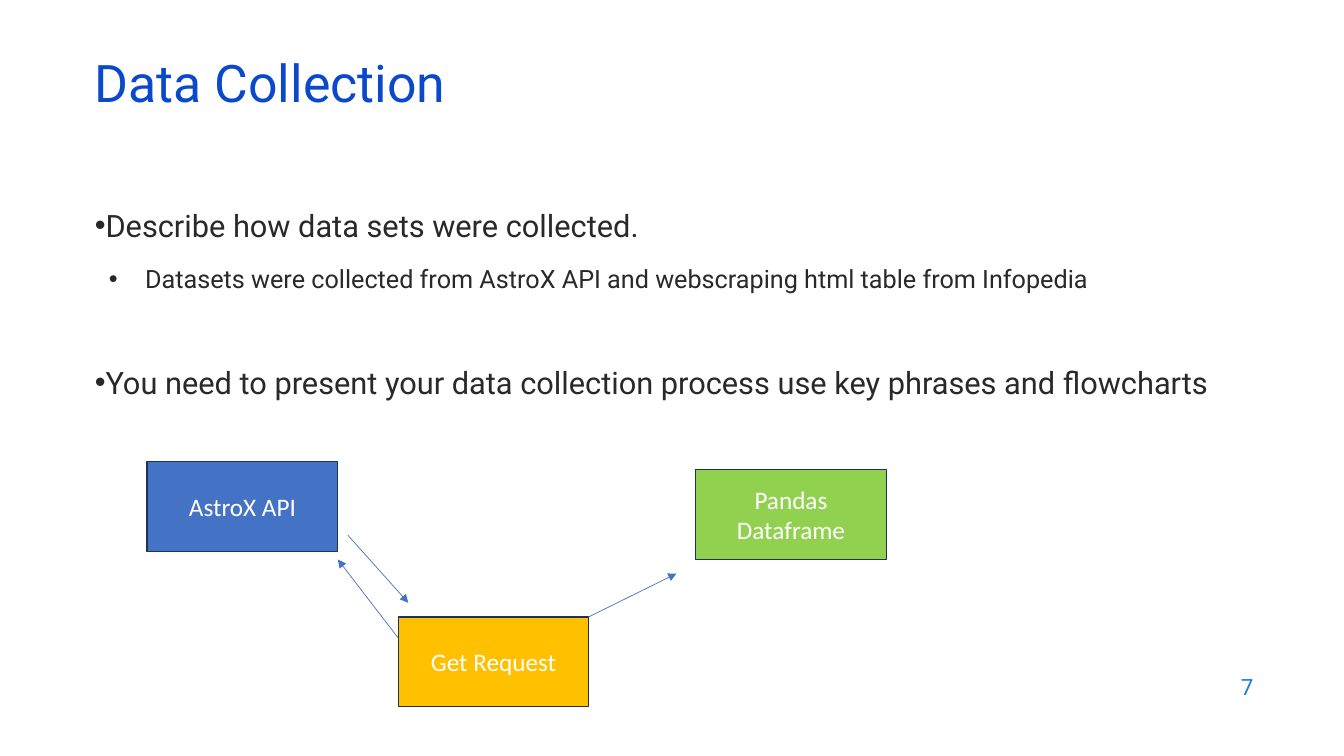
from dataclasses import dataclass

from lxml.etree import SubElement
from pptx import Presentation
from pptx.dml.color import RGBColor
from pptx.enum.shapes import MSO_CONNECTOR, MSO_SHAPE
from pptx.enum.text import MSO_ANCHOR, MSO_AUTO_SIZE, PP_ALIGN
from pptx.oxml.ns import qn
from pptx.util import Inches, Pt


@dataclass(frozen=True)
class Theme:
    head_font: str = "Roboto"
    box_font: str = "Calibri"
    title: str = "0B49CB"
    body: str = "292929"
    number: str = "1C7DDB"
    white: str = "FFFFFF"
    blue: str = "4472C4"
    amber: str = "FFC000"
    green: str = "92D050"
    outline: str = "1E3256"
    title_size: int = 37
    body_size: int = 22
    sub_size: int = 18
    number_size: int = 16


class SlideBuilder:
    def __init__(self, slide, theme):
        self.s = slide
        self.t = theme

    def style(self, p, font, size, color):
        for r in p.runs:
            r.font.name = font
            r.font.size = Pt(size)
            r.font.color.rgb = RGBColor.from_string(color)

    def place(self, sp, left, top, width, height):
        sp.left, sp.top = Inches(left), Inches(top)
        sp.width, sp.height = Inches(width), Inches(height)

    def title(self, text, *at):
        sp = self.s.shapes.title
        self.place(sp, *at)
        tf = sp.text_frame
        tf.text = text
        tf.auto_size = MSO_AUTO_SIZE.NONE
        tf.vertical_anchor = MSO_ANCHOR.MIDDLE
        p = tf.paragraphs[0]
        p.alignment = PP_ALIGN.LEFT
        p.line_spacing = 0.7
        self.style(p, self.t.head_font, self.t.title_size, self.t.title)

    def bullets(self, items, *at):
        """Fill the body placeholder from (level, space before, text) items."""
        sp = self.s.placeholders[1]
        self.place(sp, *at)
        tf = sp.text_frame
        tf.text = "\n".join(text for _, _, text in items)
        tf.auto_size = MSO_AUTO_SIZE.NONE
        tf.vertical_anchor = MSO_ANCHOR.TOP
        for p, (level, space, _) in zip(tf.paragraphs, items):
            p.level = level
            p.line_spacing = 1.0
            p.space_before = Pt(space)
            margin, indent = (0.5, -0.36) if level else (0, 0)
            pPr = p._p.get_or_add_pPr()
            pPr.set("marL", str(Inches(margin)))
            pPr.set("indent", str(Inches(indent)))
            SubElement(pPr, qn("a:buFont"), typeface="Arial")
            SubElement(pPr, qn("a:buChar"), char="•")
            size = self.t.sub_size if level else self.t.body_size
            self.style(p, self.t.head_font, size, self.t.body)

    def page_number(self, text, *at):
        sp = self.s.shapes.add_textbox(*map(Inches, at))
        tf = sp.text_frame
        tf.word_wrap = True
        tf.vertical_anchor = MSO_ANCHOR.MIDDLE
        tf.text = text
        p = tf.paragraphs[0]
        p.alignment = PP_ALIGN.RIGHT
        self.style(p, self.t.head_font, self.t.number_size, self.t.number)

    def box(self, text, fill, *at):
        sp = self.s.shapes.add_shape(MSO_SHAPE.RECTANGLE, *map(Inches, at))
        sp.shadow.inherit = False
        sp.fill.solid()
        sp.fill.fore_color.rgb = RGBColor.from_string(fill)
        sp.line.color.rgb = RGBColor.from_string(self.t.outline)
        sp.line.width = Pt(1)
        tf = sp.text_frame
        tf.word_wrap = True
        tf.vertical_anchor = MSO_ANCHOR.MIDDLE
        tf.text = text
        p = tf.paragraphs[0]
        p.alignment = PP_ALIGN.CENTER
        self.style(p, self.t.box_font, self.t.sub_size, self.t.white)

    def arrow(self, *ends):
        c = self.s.shapes.add_connector(MSO_CONNECTOR.STRAIGHT, *map(Inches, ends))
        c.line.color.rgb = RGBColor.from_string(self.t.blue)
        c.line.width = Pt(0.5)
        SubElement(c.line._get_or_add_ln(), qn("a:tailEnd"), type="triangle")
        SubElement(c._element.spPr, qn("a:effectLst"))


def main():
    prs = Presentation()
    prs.slide_width, prs.slide_height = Inches(13.33), Inches(7.5)
    theme = Theme()
    b = SlideBuilder(prs.slides.add_slide(prs.slide_layouts[1]), theme)

    b.title("Data Collection", 0.84, 0.59, 11.5, 0.6)
    b.bullets([
        (0, 0, "Describe how data sets were collected."),
        (1, 14, "Datasets were collected from AstroX API and webscraping "
                "html table from Infopedia"),
        (0, 50, "You need to present your data collection process use key "
                "phrases and flowcharts"),
    ], 0.84, 2, 11.5, 4.76)
    b.page_number("7", 9.53, 6.59, 3, 0.44)

    box_w, box_h = 1.89, 0.89
    for text, fill, left, top in (
        ("AstroX API", theme.blue, 1.46, 4.58),
        ("Get Request", theme.amber, 3.95, 6.12),
        ("Pandas Dataframe", theme.green, 6.9, 4.66),
    ):
        b.box(text, fill, left, top, box_w, box_h)

    for ends in (
        (3.95, 6.33, 3.35, 5.55),
        (3.45, 5.31, 4.05, 5.98),
        (5.84, 6.12, 6.71, 5.69),
    ):
        b.arrow(*ends)

    prs.save("out.pptx")


if __name__ == "__main__":
    main()
